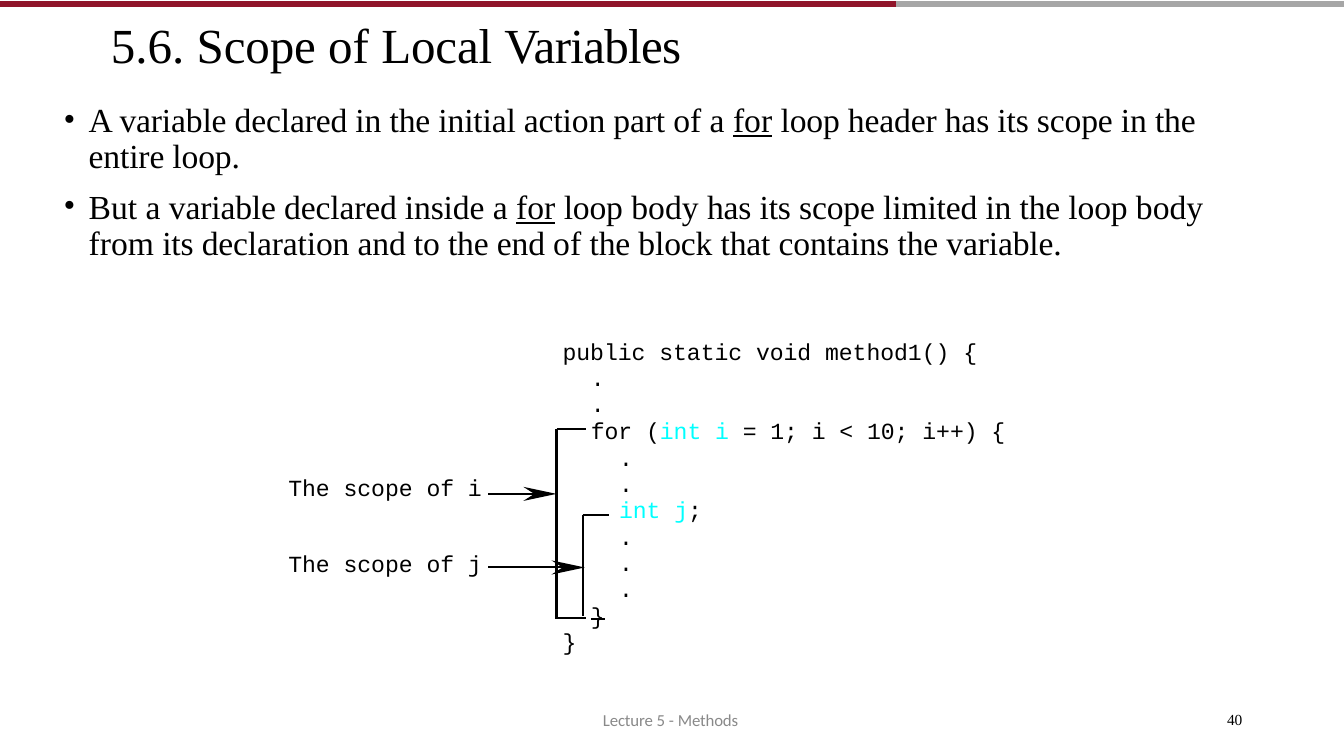
"""Build the slide on the scope of local variables in a for loop."""
from dataclasses import dataclass

import lxml.etree
import pptx
import pptx.dml.color
import pptx.enum.shapes
import pptx.enum.text
import pptx.oxml.ns
import pptx.util

Inches = pptx.util.Inches
Pt = pptx.util.Pt


@dataclass(frozen=True)
class Theme:
    """Colours, fonts and sizes of the slide."""
    ink: str = "000000"
    keyword: str = "00FFFF"
    accent: str = "90152A"
    rule: str = "A6A6A6"
    muted: str = "898989"
    serif: str = "Times New Roman"
    sans: str = "Calibri"
    mono: str = "Courier New"
    title_size: float = 35
    body_size: float = 24
    code_size: float = 16.5
    footer_size: float = 12
    number_size: float = 11
    code_leading: float = 18.8
    line_width: float = 1.5
    bar_width: float = 4


def rgb(value):
    """Return the colour for a hex string."""
    return pptx.dml.color.RGBColor.from_string(value)


def add_run(paragraph, text, *, font, size, color,
            underline=False, strike=False, spacing=0):
    """Add one formatted run of text to a paragraph."""
    run = paragraph.add_run()
    run.text = text
    run.font.name = font
    run.font.size = Pt(size)
    run.font.color.rgb = rgb(color)
    if underline:
        run.font.underline = True
    properties = run.font._element
    if strike:
        properties.set("strike", "sngStrike")
    if spacing:
        properties.set("spc", str(round(spacing * 100)))


class SlideWriter:
    """Draws the elements of one slide in one theme."""

    def __init__(self, slide, theme):
        """Keep the slide and its theme."""
        self.slide = slide
        self.theme = theme

    def text(self, left, top, width, height, paragraphs, *, inset=0.02,
             leading=None, gap=0, bullet=False, **style):
        """Add a text box from (indent, runs) pairs; a run is (text, changes)."""
        box = self.slide.shapes.add_textbox(
            Inches(left), Inches(top), Inches(width), Inches(height))
        frame = box.text_frame
        frame.word_wrap = True
        frame.vertical_anchor = pptx.enum.text.MSO_ANCHOR.TOP
        frame.margin_left = frame.margin_right = frame.margin_bottom = 0
        frame.margin_top = Inches(inset)
        for index, (indent, runs) in enumerate(paragraphs):
            paragraph = frame.add_paragraph() if index else frame.paragraphs[0]
            properties = paragraph._p.get_or_add_pPr()
            properties.set("marL", str(Inches(indent)))
            if bullet:
                properties.set("indent", str(-Inches(0.25)))
                for tag, key, value in (("a:buFont", "typeface", style["font"]),
                                        ("a:buChar", "char", "•")):
                    mark = lxml.etree.SubElement(
                        properties, pptx.oxml.ns.qn(tag))
                    mark.set(key, value)
            if leading:
                paragraph.line_spacing = Pt(leading)
            if index and gap:
                paragraph.space_before = Pt(gap)
            for text, changes in runs:
                add_run(paragraph, text,
                        **{"color": self.theme.ink, **style, **changes})

    def code(self, left, top, width, height, lines):
        """Add a block of code lines."""
        self.text(left, top, width, height, lines, inset=0.03,
                  font=self.theme.mono, size=self.theme.code_size,
                  leading=self.theme.code_leading)

    def line(self, start, end, color, width):
        """Add a straight line between two points."""
        connector = self.slide.shapes.add_connector(
            pptx.enum.shapes.MSO_CONNECTOR.STRAIGHT,
            *(Inches(value) for value in (*start, *end)))
        connector.line.color.rgb = rgb(color)
        connector.line.width = Pt(width)
        lxml.etree.SubElement(connector._element.spPr,
                              pptx.oxml.ns.qn("a:effectLst"))

    def outline(self, strokes, filled=False):
        """Add a freeform of strokes, either filled or drawn as lines."""
        paths = [[(Inches(x), Inches(y)) for x, y in stroke]
                 for stroke in strokes]
        builder = self.slide.shapes.build_freeform(*paths[0][0], scale=1.0)
        for index, points in enumerate(paths):
            if index:
                builder.move_to(*points[0])
            builder.add_line_segments(points[1:], close=filled)
        shape = builder.convert_to_shape()
        shape.shadow.inherit = False
        if filled:
            shape.fill.solid()
            shape.fill.fore_color.rgb = rgb(self.theme.ink)
            shape.line.fill.background()
        else:
            shape.fill.background()
            shape.line.color.rgb = rgb(self.theme.ink)
            shape.line.width = Pt(self.theme.line_width)

    def scope(self, name, label_top, middle, tip, bracket, top, bottom, reach):
        """Add a scope label, its arrow and the bracket it points to."""
        self.text(2.86, label_top, 2.05, 0.31,
                  [(0, [(f"The scope of {name}", {})])],
                  font=self.theme.mono, size=self.theme.code_size)
        notch = tip - 0.22
        self.outline([[(bracket, top), (bracket, bottom)],
                      [(bracket, top), (bracket + reach, top)],
                      [(notch, middle), (4.84, middle)]])
        self.outline([[(tip - 0.33, middle - 0.07), (notch, middle),
                       (tip - 0.33, middle + 0.07), (tip, middle)]],
                     filled=True)


def main():
    """Build the slide and save it."""
    presentation = pptx.Presentation()
    presentation.slide_width = Inches(13.33)
    presentation.slide_height = Inches(7.5)
    theme = Theme()
    slide = presentation.slides.add_slide(presentation.slide_layouts[6])
    writer = SlideWriter(slide, theme)

    writer.line((8.89, 0.04), (13.33, 0.04), theme.rule, theme.bar_width)
    writer.line((0, 0.04), (8.89, 0.04), theme.accent, theme.bar_width)
    writer.text(1.1, 0.13, 5.9, 0.61,
                [(0, [("5.6. ", {}), ("Scope ", {"spacing": -0.1}),
                      ("of ", {}), ("Local ", {"spacing": -0.1}),
                      ("Variables", {"spacing": -0.5})])],
                inset=0.01, font=theme.serif, size=theme.title_size)

    underlined = {"underline": True}
    tight = {"spacing": -0.1}
    writer.text(
        0.62, 0.96, 11.41, 1.65,
        [(0.26, [("A ", {}),
                 ("variable declared in the initial action part ", tight),
                 ("of a ", {}), ("for", underlined), (" ", {}),
                 ("loop header has its scope in the entire loop.", tight)]),
         (0.26, [("But a ", {}), ("variable declared inside", tight),
                 (" a ", {}), ("for", underlined), (" ", {}),
                 ("loop", tight), (" body ", {}),
                 ("has its scope limited in the loop", tight),
                 (" body from", {}),
                 (" its declaration and to the end ", tight), ("of ", {}),
                 ("the block that contains the variable.", tight)])],
        inset=0.06, leading=25.9, gap=10.2, bullet=True,
        font=theme.serif, size=theme.body_size)

    keyword = {"color": theme.keyword}
    step = 0.28
    dot = (step, [(".", {})])
    writer.code(5.58, 3.33, 4.18, 0.83,
                [(0, [("public static void method1() {", {})]), dot, dot])
    writer.code(5.86, 4.12, 4.18, 1.87,
                [(0, [("for (", {}), ("int i ", keyword),
                      ("= 1; i < 10; i++) {", {})]),
                 dot, dot,
                 (step, [("int j", keyword), (";", {})]),
                 dot, dot, dot])
    writer.code(5.58, 5.95, 0.5, 0.57,
                [(step, [("}", {"strike": True})]), (0, [("}", {})])])

    writer.scope("i", 4.68, 4.9, 5.52, 5.52, 4.26, 6.14, 0.29)
    writer.line((5.53, 6.13), (5.81, 6.13), theme.ink, theme.line_width)
    writer.scope("j", 5.43, 5.63, 5.8, 5.78, 5.11, 6.11, 0.26)

    writer.text(5.98, 7.03, 1.39, 0.23,
                [(0, [("Lecture ", tight), ("5 - ", {}), ("Methods", tight)])],
                inset=0.01, font=theme.sans, size=theme.footer_size,
                color=theme.muted)
    writer.text(12.13, 7.05, 0.24, 0.2, [(0.04, [("40", {})])],
                inset=0, leading=13, font=theme.serif, size=theme.number_size)
    presentation.save("out.pptx")


if __name__ == "__main__":
    main()
